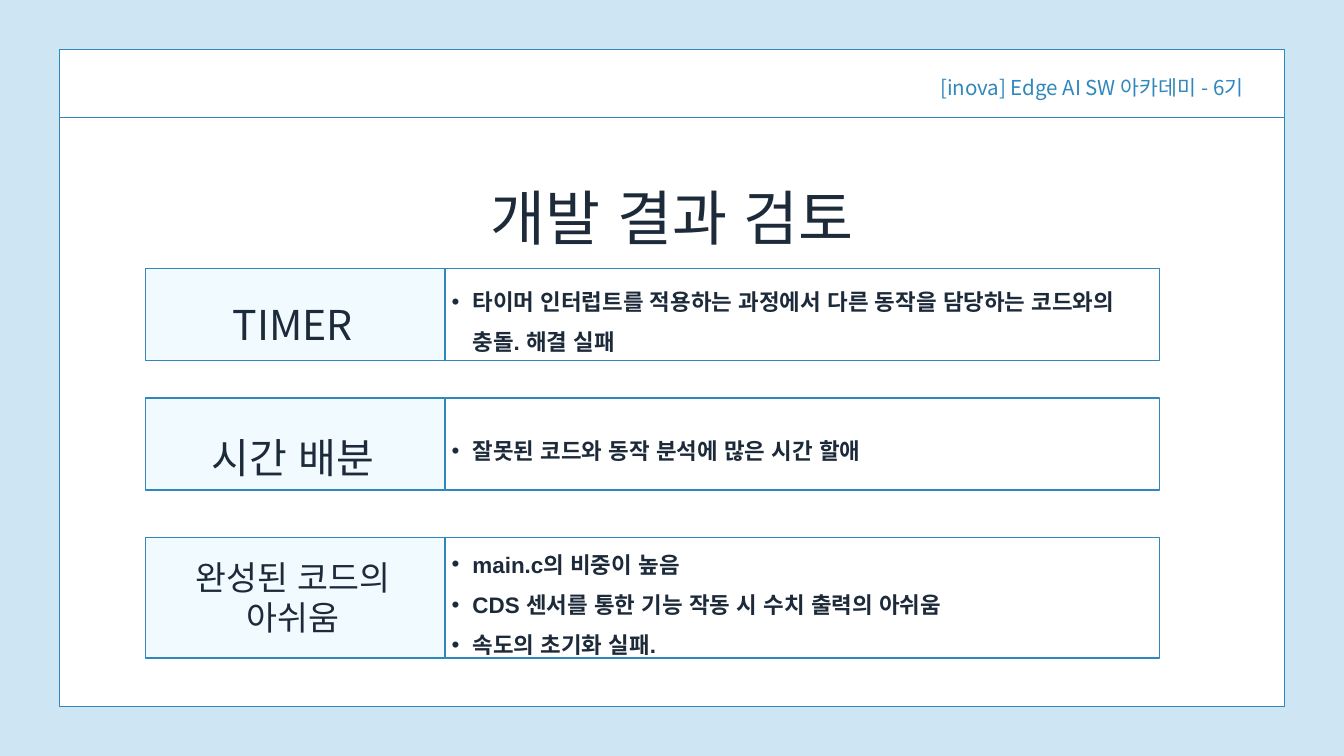
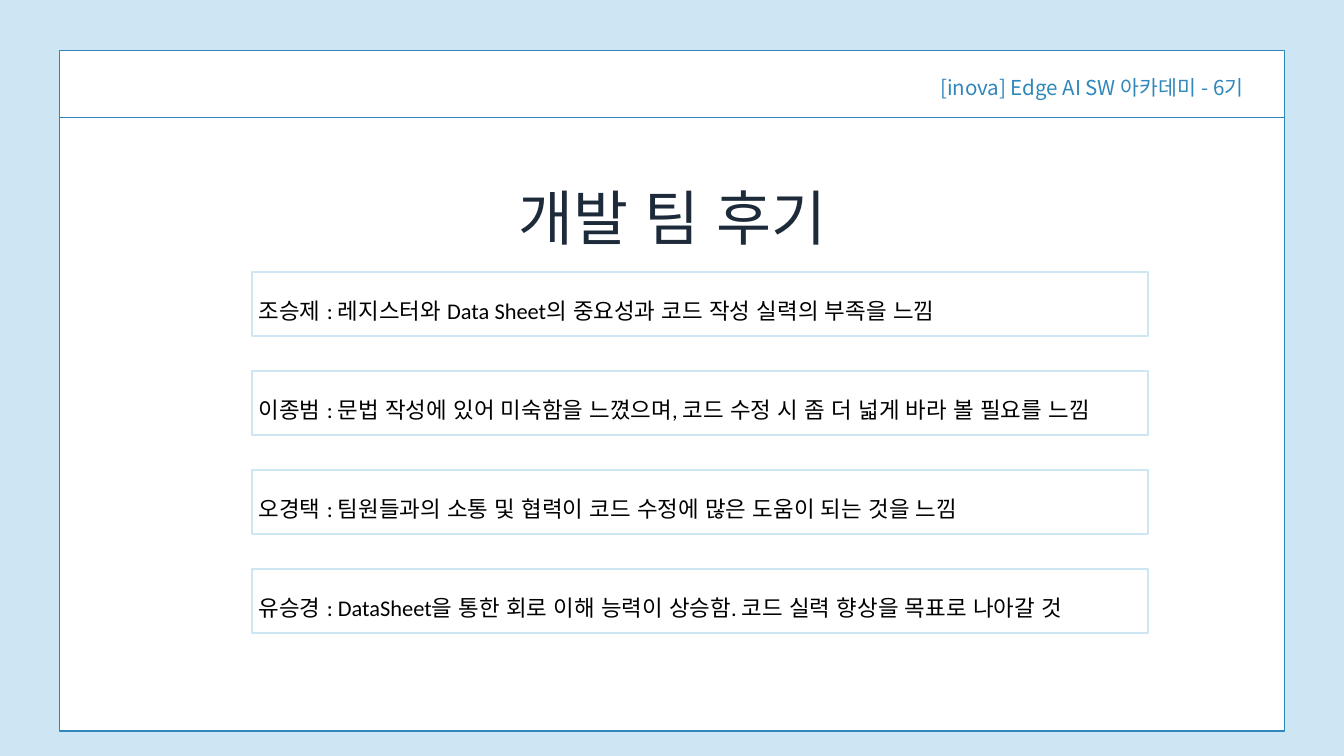
"""Build the project review slide and the team feedback slide."""
from dataclasses import dataclass
from typing import Optional, Sequence, Union

from lxml import etree
from pptx import Presentation
from pptx import util as u
from pptx.dml import color
from pptx.enum import lang, shapes, text
from pptx.oxml import ns


@dataclass(frozen=True)
class Theme:
    """Colours, fonts, type sizes and line widths."""
    sky: str = "CEE6F4"
    blue: str = "3087BB"
    ice: str = "F1FAFF"
    white: str = "FFFFFF"
    navy: str = "1D2A3A"
    black: str = "000000"
    korean: str = "Noto Sans CJK KR"
    title: int = 64
    label: int = 44
    small_label: int = 36
    body: int = 24
    tag: int = 22
    thin: float = 1.5
    thick: float = 2


THEME = Theme()


@dataclass(frozen=True)
class Area:
    """Place and size in centimetres."""
    left: float
    top: float
    width: float
    height: float

    def lengths(self) -> list:
        """Return the four lengths in slide units."""
        return [u.Cm(value) for value in (self.left, self.top, self.width, self.height)]


@dataclass(frozen=True)
class Style:
    """Look of the text in one box."""
    size: int
    colour: str = THEME.navy
    font: str = THEME.korean
    bold: bool = False
    align: text.PP_ALIGN = text.PP_ALIGN.CENTER
    spacing: Union[float, u.Length, None] = None
    bullet: str = ""


@dataclass(frozen=True)
class Card:
    """One review topic: label on the left, findings on the right."""
    top: float
    height: float
    label: Sequence[str]
    label_style: Style
    label_width: float
    label_height: float
    label_offset: float
    findings: Sequence[str]


TALL = u.Pt(89.6)
TITLE = Style(THEME.title, spacing=TALL)
LABEL = Style(THEME.label, spacing=TALL)
SMALL_LABEL = Style(THEME.small_label)
TAG = Style(THEME.tag, THEME.blue, align=text.PP_ALIGN.RIGHT, spacing=u.Pt(30.8))
FINDING = Style(THEME.body, font="Arial", bold=True, align=text.PP_ALIGN.LEFT, spacing=1.5, bullet="•")
FEEDBACK = Style(THEME.body, THEME.black, "Calibri", align=text.PP_ALIGN.LEFT, spacing=1.5)

PANEL_LEFT, PANEL_WIDTH, RULE_TOP = 2.26, 46.3, 4.45
CARD_LEFT, LABEL_WIDTH, FINDINGS_WIDTH, LABEL_CENTRE = 5.49, 11.33, 27, 11.07
FEEDBACK_TOP, FEEDBACK_STEP = 10.29, 3.74

CARDS = (
    Card(10.16, 3.48, ["TIMER"], LABEL, 8.92, 2.87, -0.13,
         ["타이머 인터럽트를 적용하는 과정에서 다른 동작을 담당하는 코드와의 충돌. 해결 실패"]),
    Card(15.04, 3.48, ["시간 배분"], LABEL, 9.47, 2.87, 0,
         ["잘못된 코드와 동작 분석에 많은 시간 할애"]),
    Card(20.32, 4.55, ["완성된 코드의", "아쉬움"], SMALL_LABEL, 10.08, 3.07, 0.74,
         ["main.c의 비중이 높음",
          "CDS 센서를 통한 기능 작동 시 수치 출력의 아쉬움",
          "속도의 초기화 실패."]),
)

COMMENTS = (
    "조승제 : 레지스터와 Data Sheet의 중요성과 코드 작성 실력의 부족을 느낌",
    "이종범 : 문법 작성에 있어 미숙함을 느꼈으며, 코드 수정 시 좀 더 넓게 바라 볼 필요를 느낌",
    "오경택 : 팀원들과의 소통 및 협력이 코드 수정에 많은 도움이 되는 것을 느낌",
    "유승경 : DataSheet을 통한 회로 이해 능력이 상승함. 코드 실력 향상을 목표로 나아갈 것",
)


def rgb(value: str) -> color.RGBColor:
    """Turn a hex string into a colour."""
    return color.RGBColor.from_string(value)


def add_bullet(para, mark: str) -> None:
    """Give a paragraph a hanging bullet and keep its punctuation inside the box."""
    properties = para._p.get_or_add_pPr()
    indent = u.Cm(0.79)
    for name, value in {"marL": indent, "indent": -indent, "hangingPunct": 0}.items():
        properties.set(name, str(int(value)))
    etree.SubElement(properties, ns.qn("a:buFont"), typeface="Arial")
    etree.SubElement(properties, ns.qn("a:buChar"), char=mark)


def write(frame, lines: Sequence[str], style: Style) -> None:
    """Write one paragraph per line in the given style."""
    frame.word_wrap = True
    font_format = {"size": u.Pt(style.size), "name": style.font, "bold": style.bold,
                   "language_id": lang.MSO_LANGUAGE_ID.KOREAN}
    for index, line in enumerate(lines):
        para = frame.add_paragraph() if index else frame.paragraphs[0]
        if style.bullet:
            add_bullet(para, style.bullet)
        for name, value in {"alignment": style.align, "line_spacing": style.spacing}.items():
            setattr(para, name, value)
        span = para.add_run()
        span.text = line
        span.font.color.rgb = rgb(style.colour)
        for name, value in font_format.items():
            setattr(span.font, name, value)
        etree.SubElement(span._r.get_or_add_rPr(), ns.qn("a:ea"), typeface=THEME.korean)


def add_rectangle(parent, area: Area, line: str, width: float, fill: Optional[str] = None):
    """Draw an outlined rectangle, filled if a colour is given."""
    box = parent.add_shape(shapes.MSO_SHAPE.RECTANGLE, *area.lengths())
    box.shadow.inherit = False
    if fill:
        box.fill.solid()
        box.fill.fore_color.rgb = rgb(fill)
    else:
        box.fill.background()
    box.line.color.rgb = rgb(line)
    box.line.width = u.Pt(width)
    box.text_frame.vertical_anchor = text.MSO_ANCHOR.MIDDLE
    return box


def add_text(parent, area: Area, lines: Sequence[str], style: Style) -> None:
    """Place a text box without margins."""
    frame = parent.add_textbox(*area.lengths()).text_frame
    for side in ("left", "top", "right", "bottom"):
        setattr(frame, f"margin_{side}", 0)
    write(frame, lines, style)
    frame.auto_size = text.MSO_AUTO_SIZE.SHAPE_TO_FIT_TEXT


def add_page(deck, title: str, panel_top: float, panel_height: float):
    """Add a slide with its panel, header rule, course tag and title."""
    page = deck.slides.add_slide(deck.slide_layouts[6])
    page.background.fill.solid()
    page.background.fill.fore_color.rgb = rgb(THEME.sky)
    panel = Area(PANEL_LEFT, panel_top, PANEL_WIDTH, panel_height)
    add_rectangle(page.shapes, panel, THEME.blue, THEME.thin, THEME.white)
    rule = page.shapes.add_connector(
        shapes.MSO_CONNECTOR.STRAIGHT, u.Cm(PANEL_LEFT), u.Cm(RULE_TOP),
        u.Cm(PANEL_LEFT + PANEL_WIDTH), u.Cm(RULE_TOP))
    rule.line.color.rgb = rgb(THEME.blue)
    rule.line.width = u.Pt(THEME.thin)
    etree.SubElement(rule._element.spPr, ns.qn("a:effectLst"))
    add_text(page.shapes, Area(33.17, 2.69, 13.84, 1.07), ["[inova] Edge AI SW 아카데미 - 6기"], TAG)
    add_text(page.shapes, Area(17.63, 6.38, 15.57, 3.02), [title], TITLE)
    return page


def add_card(page, card: Card) -> None:
    """Draw a review topic as one group."""
    group = page.shapes.add_group_shape().shapes
    label = Area(CARD_LEFT, card.top, LABEL_WIDTH, card.height)
    add_rectangle(group, label, THEME.blue, THEME.thin, THEME.ice)
    findings = Area(CARD_LEFT + LABEL_WIDTH, card.top, FINDINGS_WIDTH, card.height)
    box = add_rectangle(group, findings, THEME.blue, THEME.thin)
    write(box.text_frame, card.findings, FINDING)
    caption = Area(LABEL_CENTRE - card.label_width / 2, card.top + card.label_offset,
                   card.label_width, card.label_height)
    add_text(group, caption, card.label, card.label_style)


def main() -> None:
    """Build and save the deck."""
    deck = Presentation()
    deck.slide_width, deck.slide_height = u.Cm(50.8), u.Cm(28.58)

    review = add_page(deck, "개발 결과 검토", 1.88, 24.82)
    for card in CARDS:
        add_card(review, card)

    feedback = add_page(deck, "개발 팀 후기", 1.9, 25.73)
    for index, comment in enumerate(COMMENTS):
        area = Area(9.53, FEEDBACK_TOP + index * FEEDBACK_STEP, 33.86, 2.41)
        box = add_rectangle(feedback.shapes, area, THEME.sky, THEME.thick)
        write(box.text_frame, [comment], FEEDBACK)

    deck.save("out.pptx")


if __name__ == "__main__":
    main()
